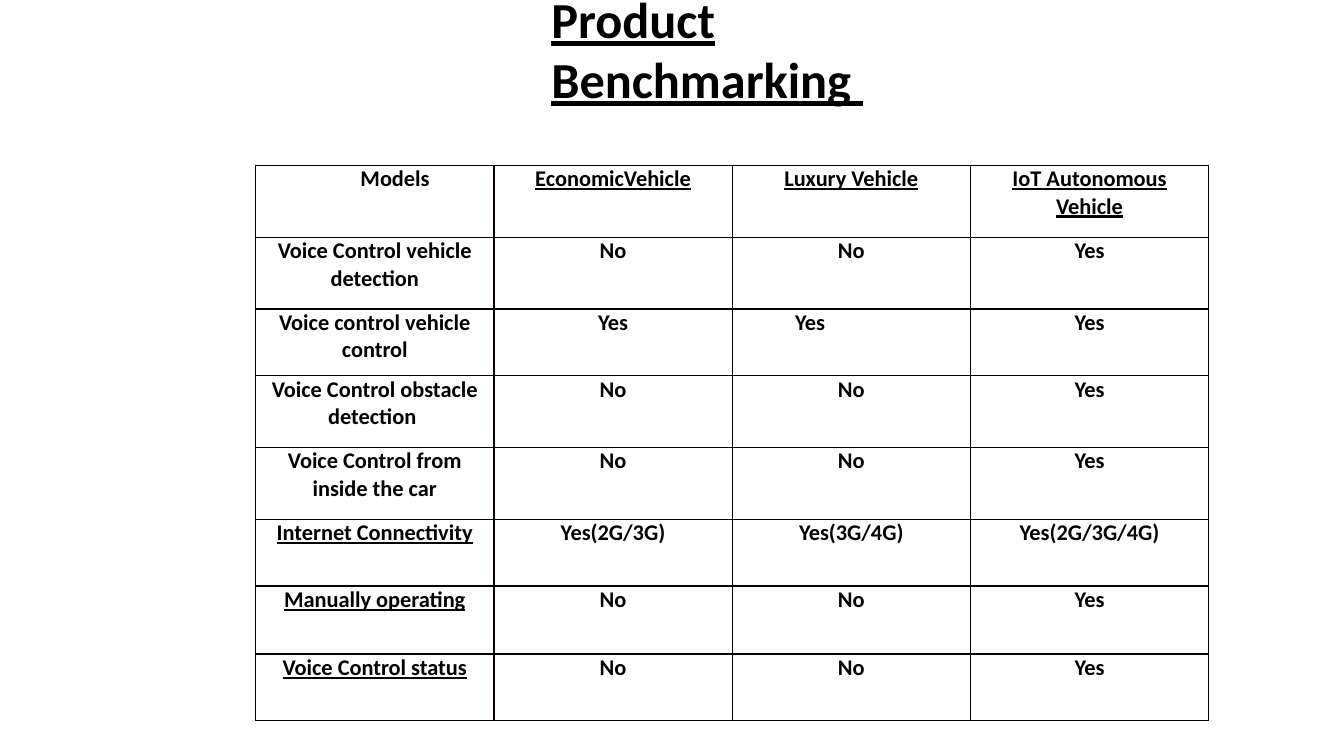
from dataclasses import dataclass

from lxml import etree
from pptx import Presentation
from pptx.dml.color import RGBColor
from pptx.enum import text
from pptx.oxml import ns
from pptx.util import Pt


@dataclass(frozen=True)
class Theme:
    """Colours, font and type sizes of the slide."""
    font: str = "Calibri"
    ink: RGBColor = RGBColor(0, 0, 0)
    rule: str = "080000"
    title_size: int = 36
    cell_size: int = 16


THEME = Theme()
TITLE = "Product Benchmarking "
BENCHMARK = [
    ("Models", "EconomicVehicle", "Luxury Vehicle", "IoT Autonomous Vehicle"),
    ("Voice Control vehicle detection", "No", "No", "Yes"),
    ("Voice control vehicle control", "Yes", "Yes", "Yes"),
    ("Voice Control obstacle detection ", "No", "No", "Yes"),
    ("Voice Control from inside the car", "No", "No", "Yes"),
    ("Internet Connectivity", "Yes(2G/3G)", "Yes(3G/4G)", "Yes(2G/3G/4G)"),
    ("Manually operating", "No", "No", "Yes"),
    ("Voice Control status", "No", "No", "Yes"),
]
UNDERLINED = set(BENCHMARK[0][1:]) | {row[0] for row in BENCHMARK[5:]}
INDENTS = {(0, 0): 29, (2, 2): 40}
LEFT_ALIGNED = {(2, 2)}
TALL, MEDIUM, SHORT = 51.3, 48.6, 47.6
ROW_HEIGHTS = [TALL, TALL, SHORT, TALL, TALL, SHORT, MEDIUM, SHORT]
COLUMN_WIDTH = 170.2


def style_font(paragraph, size, underline):
    """Apply the bold theme font to a paragraph."""
    font = paragraph.font
    font.name, font.size = THEME.font, Pt(size)
    font.bold, font.underline = True, underline
    font.color.rgb = THEME.ink


def add_title(slide):
    """Fill the title placeholder and move it to the top centre."""
    title = slide.shapes.title
    title.left, title.top = Pt(386.6), Pt(-12.2)
    title.width, title.height = Pt(250), Pt(160)
    frame = title.text_frame
    frame.text = TITLE
    frame.word_wrap = True
    frame.auto_size = text.MSO_AUTO_SIZE.NONE
    frame.vertical_anchor = text.MSO_ANCHOR.TOP
    heading = frame.paragraphs[0]
    heading.alignment = text.PP_ALIGN.LEFT
    style_font(heading, THEME.title_size, True)


def add_borders(cell):
    """Rule all four sides of a table cell."""
    properties = cell._tc.get_or_add_tcPr()
    for position, side in enumerate(("lnL", "lnR", "lnT", "lnB")):
        line = etree.Element(ns.qn(f"a:{side}"), w=str(Pt(1)))
        fill = etree.SubElement(line, ns.qn("a:solidFill"))
        etree.SubElement(fill, ns.qn("a:srgbClr"), val=THEME.rule)
        properties.insert(position, line)


def fill_cell(cell, words, indent, alignment):
    """Write and format one table cell."""
    cell.text = words
    cell.margin_left = cell.margin_right = Pt(5)
    cell.margin_top = cell.margin_bottom = 0
    cell.fill.background()
    entry = cell.text_frame.paragraphs[0]
    entry.alignment = alignment
    style_font(entry, THEME.cell_size, words in UNDERLINED)
    if indent:
        entry._p.get_or_add_pPr().set("marL", str(Pt(indent)))
    add_borders(cell)


def add_benchmark(slide):
    """Add the table that compares the vehicle models."""
    columns = len(BENCHMARK[0])
    benchmark = slide.shapes.add_table(
        len(BENCHMARK), columns, Pt(182.6), Pt(118.2),
        Pt(COLUMN_WIDTH * columns), Pt(sum(ROW_HEIGHTS))).table
    benchmark.first_row = benchmark.horz_banding = False
    for column in benchmark.columns:
        column.width = Pt(COLUMN_WIDTH)
    for r, (height, entries) in enumerate(zip(ROW_HEIGHTS, BENCHMARK)):
        benchmark.rows[r].height = Pt(height)
        for c, words in enumerate(entries):
            alignment = (text.PP_ALIGN.LEFT if (r, c) in LEFT_ALIGNED
                         else text.PP_ALIGN.CENTER)
            fill_cell(benchmark.cell(r, c), words,
                      INDENTS.get((r, c), 0), alignment)


def main():
    """Build and save the slide."""
    deck = Presentation()
    deck.slide_width, deck.slide_height = Pt(960), Pt(540)
    slide = deck.slides.add_slide(deck.slide_layouts[5])
    add_title(slide)
    add_benchmark(slide)
    deck.save("out.pptx")


main()
